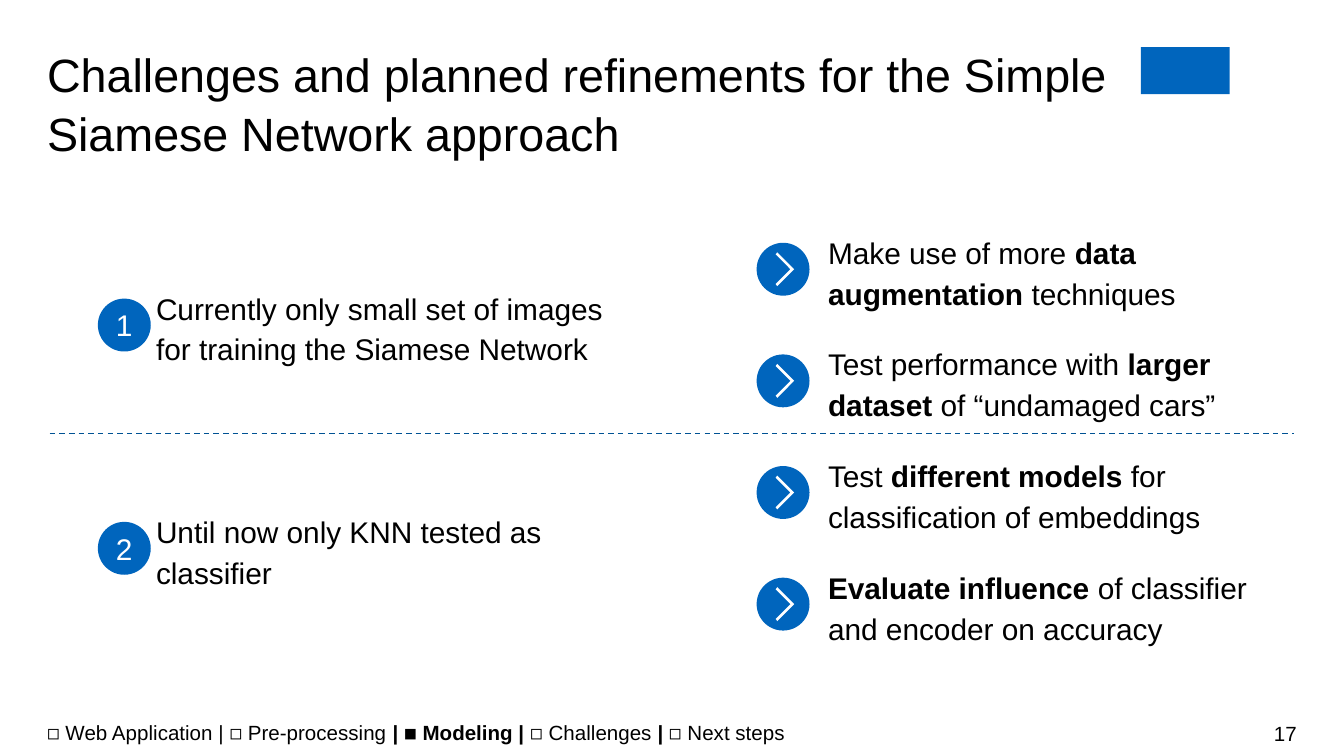
"""Build the slide on challenges and refinements of the Siamese Network approach."""
from lxml import etree
from pptx import Presentation
from pptx.dml import color
from pptx.enum import dml, shapes, text
from pptx.oxml import ns
from pptx.util import Cm, Pt

BLUE = "0065BD"
ROW_TOP, ROW_STEP = 4.34, 2.11
CIRCLE = 1
CHEVRON = [(0.39, 0.18), (0.36, 0.22), (0.64, 0.5), (0.36, 0.78), (0.39, 0.82), (0.71, 0.5)]


def paint(target, value):
    """Fill a shape or a font with a solid hex colour and remove any outline."""
    target.fill.solid()
    target.fill.fore_color.rgb = color.RGBColor.from_string(value)
    if hasattr(target, "line"):
        target.line.fill.background()
        target.shadow.inherit = False


def write(box, words, size, align=text.PP_ALIGN.LEFT, anchor=text.MSO_ANCHOR.TOP, spacing=None, ink="000000"):
    """Write one paragraph in which ** switches bold on and off."""
    frame = box.text_frame
    frame.word_wrap = True
    frame.auto_size = text.MSO_AUTO_SIZE.NONE
    frame.vertical_anchor = anchor
    frame.margin_left = frame.margin_right = frame.margin_top = frame.margin_bottom = 0
    para = frame.paragraphs[0]
    para.alignment = align
    para.line_spacing = spacing
    for index, part in enumerate(words.split("**")):
        if part:
            span = para.add_run()
            span.text = part
            span.font.name = "Arial"
            span.font.size = Pt(size)
            span.font.bold = index % 2 == 1
            paint(span.font, ink)


deck = Presentation()
deck.slide_width, deck.slide_height = Cm(25.4), Cm(14.29)
page = deck.slides.add_slide(deck.slide_layouts[5])
items = page.shapes

logo_block = items.add_shape(shapes.MSO_SHAPE.RECTANGLE, Cm(21.56), Cm(0.89), Cm(1.68), Cm(0.89))
paint(logo_block, BLUE)

title = items.title
title.left, title.top, title.width, title.height = Cm(0.89), Cm(0.79), Cm(21.92), Cm(2.29)
write(title, "Challenges and planned refinements for the Simple Siamese Network approach", 25, spacing=Pt(32))

divider = items.add_connector(shapes.MSO_CONNECTOR.STRAIGHT, Cm(0.94), Cm(8.2), Cm(24.46), Cm(8.2))
divider.line.color.rgb = color.RGBColor.from_string("005293")
divider.line.width = Pt(0.75)
divider.line.dash_style = dml.MSO_LINE.DASH
etree.SubElement(divider._element.spPr, ns.qn("a:effectLst"))

challenges = [
    "Currently only small set of images for training the Siamese Network",
    "Until now only KNN tested as classifier",
]
refinements = [
    "Make use of more **data augmentation **techniques",
    "Test performance with **larger dataset **of “undamaged cars”",
    "Test **different models **for classification of embeddings",
    "**Evaluate influence **of classifier and encoder on accuracy",
]
entries = [(1.85, 2.95, 2 * i + 0.5, str(i + 1), words) for i, words in enumerate(challenges)]
entries += [(14.3, 15.65, i, "", words) for i, words in enumerate(refinements)]

for left, text_left, row, number, words in entries:
    top = ROW_TOP + row * ROW_STEP
    box = items.add_textbox(Cm(text_left), Cm(top), Cm(8.64), Cm(1.5))
    write(box, words, 16, spacing=1.14)
    circle_top = top + 0.25
    circle = items.add_shape(shapes.MSO_SHAPE.OVAL, Cm(left), Cm(circle_top), Cm(CIRCLE), Cm(CIRCLE))
    paint(circle, BLUE)
    if number:
        write(circle, number, 16, text.PP_ALIGN.CENTER, text.MSO_ANCHOR.MIDDLE, ink="FFFFFF")
    else:
        points = [(Cm(left + x), Cm(circle_top + y)) for x, y in CHEVRON]
        outline = items.build_freeform(*points[0])
        outline.add_line_segments(points[1:])
        chevron = outline.convert_to_shape()
        paint(chevron, "FFFFFF")

agenda = items.add_textbox(Cm(0.89), Cm(13.44), Cm(21.74), Cm(0.81))
write(agenda, "◻︎ Web Application | ◻︎ Pre-processing **|** ◼︎ **Modeling | **◻︎ Challenges **| **◻︎ Next steps",
      11, anchor=text.MSO_ANCHOR.MIDDLE)
page_number = items.add_textbox(Cm(18.82), Cm(13.49), Cm(5.69), Cm(0.76))
write(page_number, "17", 11, text.PP_ALIGN.RIGHT, text.MSO_ANCHOR.MIDDLE)

deck.save("out.pptx")
